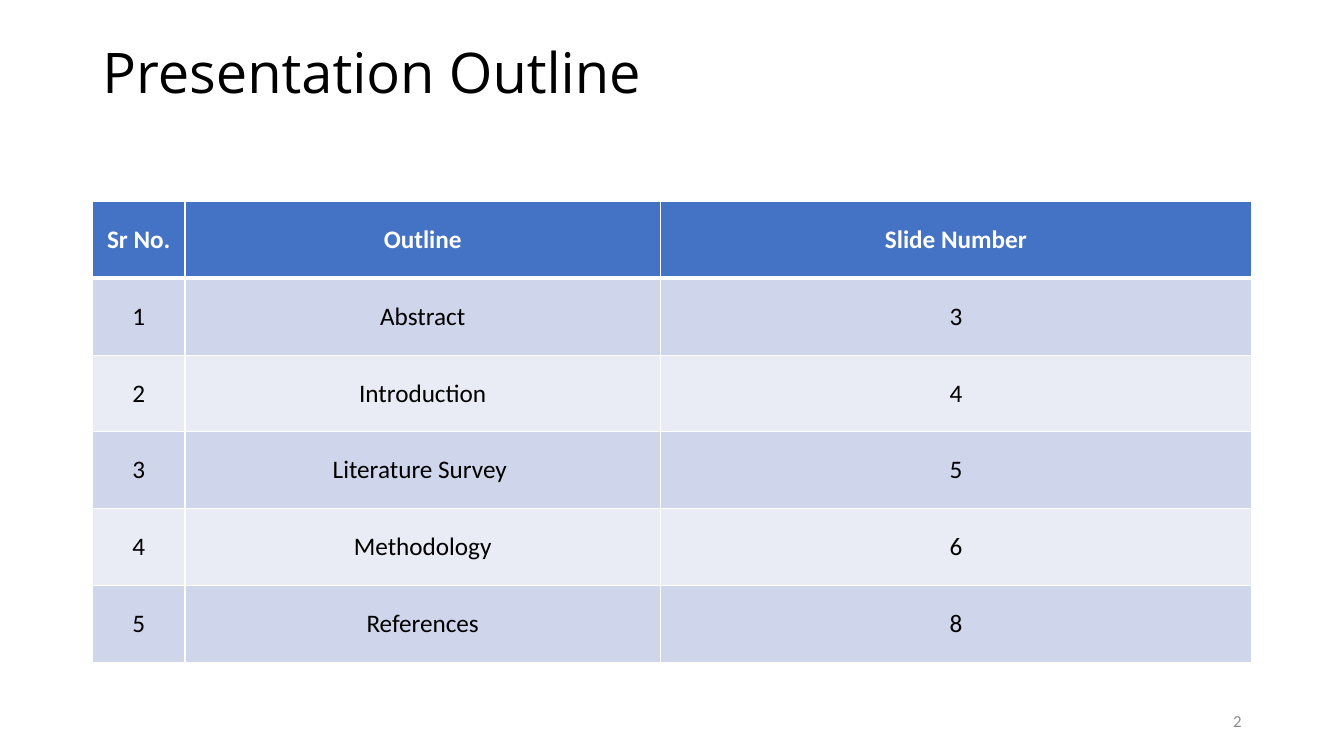
from dataclasses import dataclass

from lxml.etree import SubElement
from pptx import Presentation
from pptx.dml.color import RGBColor as Rgb
from pptx.enum.text import MSO_ANCHOR as Anchor, PP_ALIGN as Align
from pptx.oxml.ns import qn
from pptx.util import Pt


@dataclass(frozen=True)
class Theme:
    """Colours, fonts and type sizes of the slide."""
    ink: str = "000000"
    paper: str = "FFFFFF"
    header: str = "4472C4"
    bands: tuple = ("CFD5EA", "E9EBF5")
    muted: str = "8C8C8C"
    title_font: str = "Open Sans"
    body_font: str = "Calibri"
    title_size: int = 40
    table_size: int = 18
    number_size: int = 12


THEME = Theme()
OUTLINE = [
    ("Sr No.", "Outline", "Slide Number"),
    ("1", "Abstract", "3"),
    ("2", "Introduction", "4"),
    ("3", "Literature Survey ", "5"),
    ("4", "Methodology", "6"),
    ("5", "References", "8"),
]
COLUMN_SHARES = (0.08, 0.41, 0.51)


def write(frame, text, font, size, color, align, bold=False):
    """Fill a text frame with one formatted paragraph."""
    frame.text = text
    paragraph = frame.paragraphs[0]
    paragraph.alignment = align
    for run in paragraph.runs:
        run.font.name = font
        run.font.size = Pt(size)
        run.font.bold = bold
        run.font.color.rgb = Rgb.from_string(color)


def place(shape, box):
    """Move a shape to a box given in points."""
    shape.left, shape.top, shape.width, shape.height = map(Pt, box)


def add_title(slide, box, text):
    """Place and format the title placeholder."""
    title = slide.shapes.title
    place(title, box)
    frame = title.text_frame
    write(frame, text, THEME.title_font, THEME.title_size, THEME.ink, Align.LEFT)
    frame.vertical_anchor = Anchor.MIDDLE
    frame.paragraphs[0].line_spacing = 0.9


def add_borders(cell, top, bottom):
    """Draw the cell's four borders, with top and bottom widths in points."""
    properties = cell._tc.get_or_add_tcPr()
    for side, width in (("L", 1), ("R", 1), ("T", top), ("B", bottom)):
        line = SubElement(properties, qn(f"a:ln{side}"), w=str(Pt(width)))
        fill = SubElement(line, qn("a:solidFill"))
        SubElement(fill, qn("a:srgbClr"), val=THEME.paper)


def add_outline_table(slide, box, rows):
    """Build the outline table with a header and banded rows."""
    width, height = box[2:]
    table = slide.shapes.add_table(len(rows), len(COLUMN_SHARES), *map(Pt, box)).table
    for column, share in zip(table.columns, COLUMN_SHARES):
        column.width = Pt(width * share)
    for index, entries in enumerate(rows):
        table.rows[index].height = Pt(height / len(rows))
        is_header = index == 0
        background = THEME.header if is_header else THEME.bands[(index - 1) % 2]
        color = THEME.paper if is_header else THEME.ink
        for position, entry in enumerate(entries):
            cell = table.cell(index, position)
            write(cell.text_frame, entry, THEME.body_font, THEME.table_size,
                  color, Align.CENTER, is_header)
            cell.vertical_anchor = Anchor.MIDDLE
            add_borders(cell, 3 if index == 1 else 1, 3 if is_header else 1)
            cell.fill.solid()
            cell.fill.fore_color.rgb = Rgb.from_string(background)


def add_slide_number(slide, box, number):
    """Write the slide number at the right of its box."""
    frame = slide.shapes.add_textbox(*map(Pt, box)).text_frame
    frame.word_wrap = True
    frame.vertical_anchor = Anchor.MIDDLE
    write(frame, number, THEME.body_font, THEME.number_size, THEME.muted, Align.RIGHT)


def main():
    """Build the outline slide and save it."""
    deck = Presentation()
    deck.slide_width, deck.slide_height = Pt(960), Pt(540)
    slide = deck.slides.add_slide(deck.slide_layouts[5])
    left, width = 66, 828
    add_title(slide, (left, 25, width, 57.6), "Presentation Outline")
    add_outline_table(slide, (left, 144, width, 329), OUTLINE)
    number_width = 216
    add_slide_number(slide, (left + width - number_width, 500.5, number_width, 28.75), "2")
    deck.save("out.pptx")


if __name__ == "__main__":
    main()
